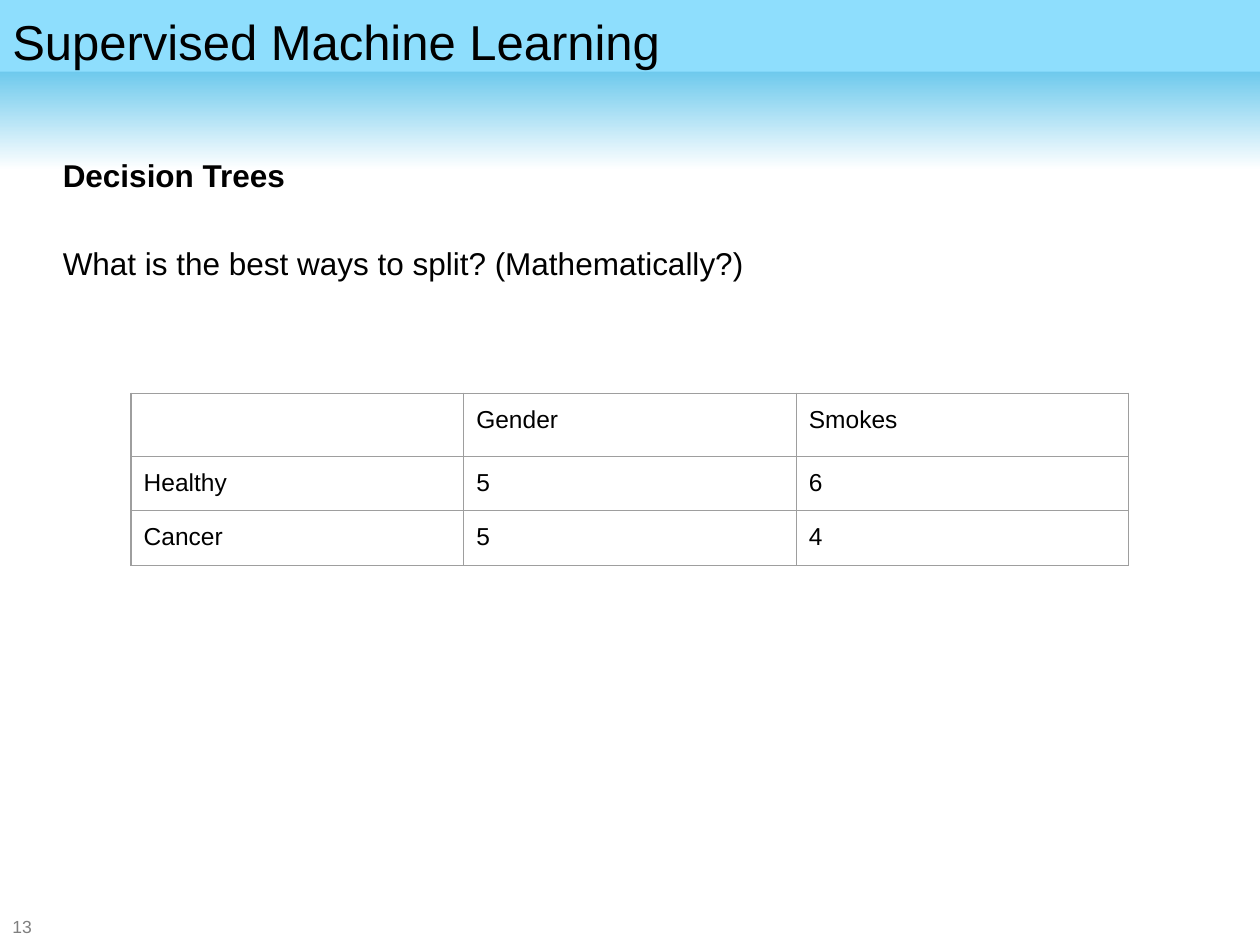
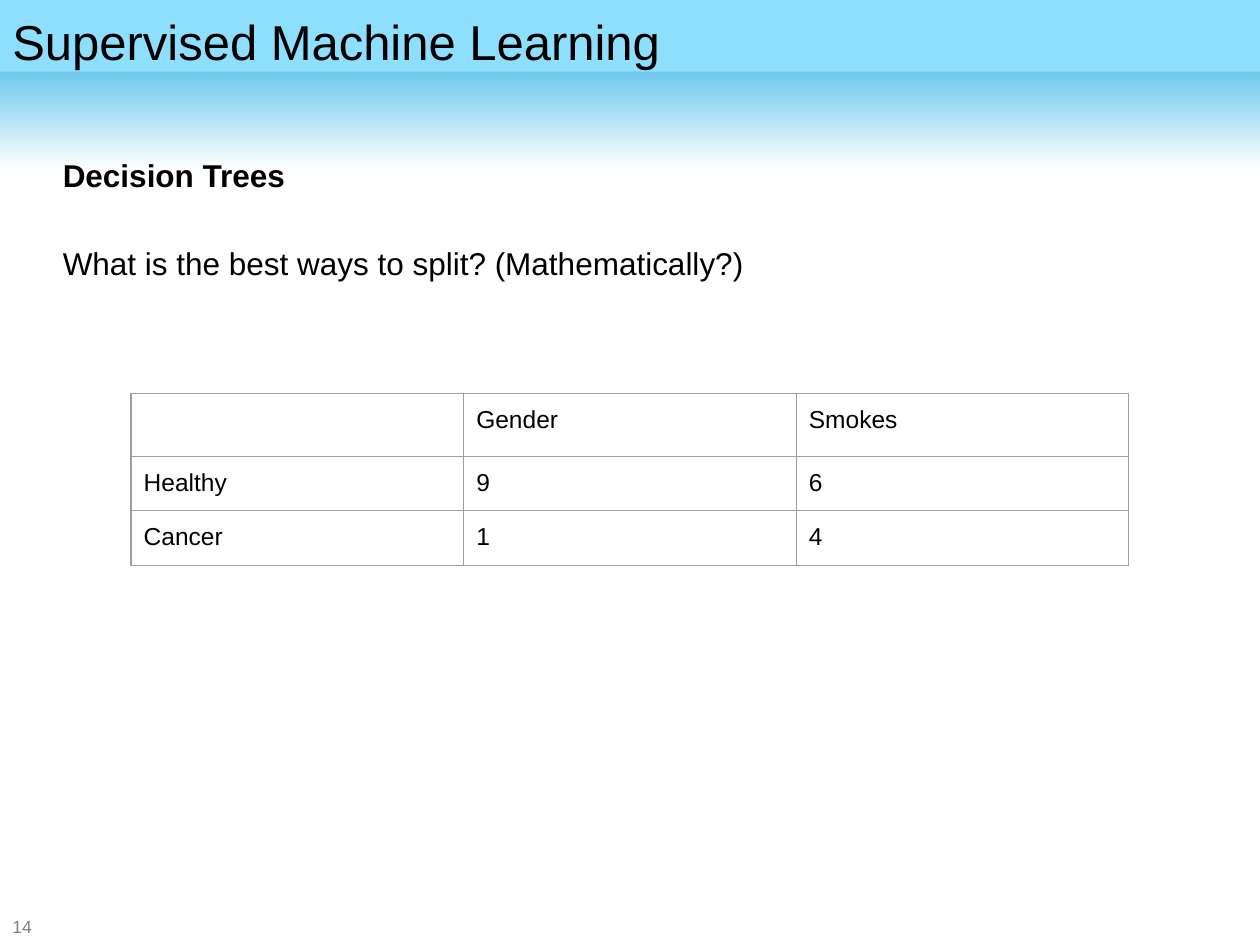
from dataclasses import dataclass
from typing import Any

from lxml.etree import SubElement
from pptx import Presentation
from pptx.dml.color import RGBColor
from pptx.enum.shapes import MSO_SHAPE
from pptx.enum.text import MSO_ANCHOR, PP_ALIGN
from pptx.oxml.ns import qn
from pptx.util import Inches, Pt

WIDTH, HEIGHT = Inches(10), Inches(7.5)
FONT = "Arial"
BLACK = RGBColor(0x00, 0x00, 0x00)
WHITE = RGBColor(0xFF, 0xFF, 0xFF)
GREY = RGBColor(0x7F, 0x7F, 0x7F)
BORDER_GREY = RGBColor(0x9E, 0x9E, 0x9E)
TITLE_BLUE = RGBColor(0x8E, 0xDE, 0xFD)
FADE_BLUE = RGBColor(0x03, 0xA2, 0xDF)

TITLE = "Supervised Machine Learning"
HEADING = "Decision Trees"
QUESTION = "What is the best ways to split? (Mathematically?)"
COLUMN_WIDTH = Inches(2.64)
ROW_HEIGHTS = (Inches(0.48), Inches(0.42), Inches(0.42))


@dataclass(frozen=True)
class Area:
    left: float
    top: float
    width: float
    height: float

    def lengths(self) -> tuple[int, int, int, int]:
        return (round(self.left * WIDTH), round(self.top * HEIGHT),
                round(self.width * WIDTH), round(self.height * HEIGHT))


@dataclass(frozen=True)
class Line:
    text: str
    size: float
    color: RGBColor = BLACK
    bold: bool = False
    space_before: float = 0


@dataclass(frozen=True)
class SplitPage:
    number: int
    healthy: tuple[int, int]
    cancer: tuple[int, int]

    def rows(self) -> list[tuple]:
        return [("", "Gender", "Smokes"),
                ("Healthy", *self.healthy),
                ("Cancer", *self.cancer)]


FADE = Area(0, 0, 1, 0.18)
TITLE_BAND = Area(0, 0, 1, 0.08)
BODY = Area(0.04, 0.16, 0.9, 0.38)
NUMBER = Area(0, 0.97, 0.04, 0.02)
TABLE_LEFT, TABLE_TOP = Inches(1.04), Inches(3.12)

PAGES = [
    SplitPage(13, healthy=(5, 6), cancer=(5, 4)),
    SplitPage(14, healthy=(9, 6), cancer=(1, 4)),
]


def apply(target: Any, values: dict[str, Any]) -> None:
    for name, value in values.items():
        setattr(target, name, value)


def write(frame: Any, lines: list[Line]) -> None:
    for index, line in enumerate(lines):
        para = frame.add_paragraph() if index else frame.paragraphs[0]
        para.alignment = PP_ALIGN.LEFT
        if index:
            para.space_before = Pt(line.space_before)
        span = para.add_run()
        span.text = line.text
        apply(span.font, {"name": FONT, "size": Pt(line.size), "bold": line.bold})
        span.font.color.rgb = line.color


def add_band(page: Any, area: Area) -> Any:
    band = page.shapes.add_shape(MSO_SHAPE.RECTANGLE, *area.lengths())
    band.shadow.inherit = False
    band.line.fill.background()
    return band


def fill_frame(frame: Any, lines: list[Line], top_inset: float,
               anchor: MSO_ANCHOR = MSO_ANCHOR.TOP) -> None:
    apply(frame, {
        "word_wrap": True,
        "vertical_anchor": anchor,
        "margin_left": Inches(0.1),
        "margin_right": Inches(0.1),
        "margin_top": Inches(top_inset),
        "margin_bottom": Inches(0.05),
    })
    write(frame, lines)


def add_fade(page: Any) -> None:
    fade = add_band(page, FADE)
    fade.fill.gradient()
    fade.fill.gradient_angle = 270
    for stop, color, position in zip(fade.fill.gradient_stops, (FADE_BLUE, WHITE), (0, 1)):
        stop.color.rgb = color
        stop.position = position


def add_title(page: Any) -> None:
    band = add_band(page, TITLE_BAND)
    band.height = Inches(0.57)
    band.fill.solid()
    band.fill.fore_color.rgb = TITLE_BLUE
    fill_frame(band.text_frame, [Line(TITLE, 28)], 0.09)


def add_text(page: Any, area: Area, lines: list[Line], top_inset: float,
             anchor: MSO_ANCHOR = MSO_ANCHOR.TOP) -> None:
    box = page.shapes.add_textbox(*area.lengths())
    fill_frame(box.text_frame, lines, top_inset, anchor)


def add_borders(cell: Any) -> None:
    properties = cell._tc.get_or_add_tcPr()
    for side in ("a:lnL", "a:lnR", "a:lnT", "a:lnB"):
        border = SubElement(properties, qn(side), w=str(Pt(0.75)))
        fill = SubElement(border, qn("a:solidFill"))
        SubElement(fill, qn("a:srgbClr"), val=str(BORDER_GREY))


def add_split_table(page: Any, rows: list[tuple]) -> None:
    columns = len(rows[0])
    frame = page.shapes.add_table(len(rows), columns, TABLE_LEFT, TABLE_TOP,
                                  COLUMN_WIDTH * columns, sum(ROW_HEIGHTS))
    table = frame.table
    apply(table, {"first_row": False, "horz_banding": False})
    for column in table.columns:
        column.width = COLUMN_WIDTH
    for row, height, values in zip(table.rows, ROW_HEIGHTS, rows):
        row.height = height
        for cell, value in zip(row.cells, values):
            apply(cell, {f"margin_{side}": Inches(0.1)
                         for side in ("left", "top", "right", "bottom")})
            add_borders(cell)
            cell.fill.background()
            if value != "":
                write(cell.text_frame, [Line(str(value), 14)])


def add_page(deck: Any, content: SplitPage) -> None:
    page = deck.slides.add_slide(deck.slide_layouts[6])
    add_fade(page)
    add_text(page, NUMBER, [Line(str(content.number), 10, GREY)], 0.05, MSO_ANCHOR.MIDDLE)
    add_title(page)
    add_text(page, BODY, [Line(HEADING, 18, bold=True),
                          Line(QUESTION, 18, space_before=28.4)], 0.04)
    add_split_table(page, content.rows())


def main() -> None:
    deck = Presentation()
    apply(deck, {"slide_width": WIDTH, "slide_height": HEIGHT})
    for content in PAGES:
        add_page(deck, content)
    deck.save("out.pptx")


if __name__ == "__main__":
    main()
